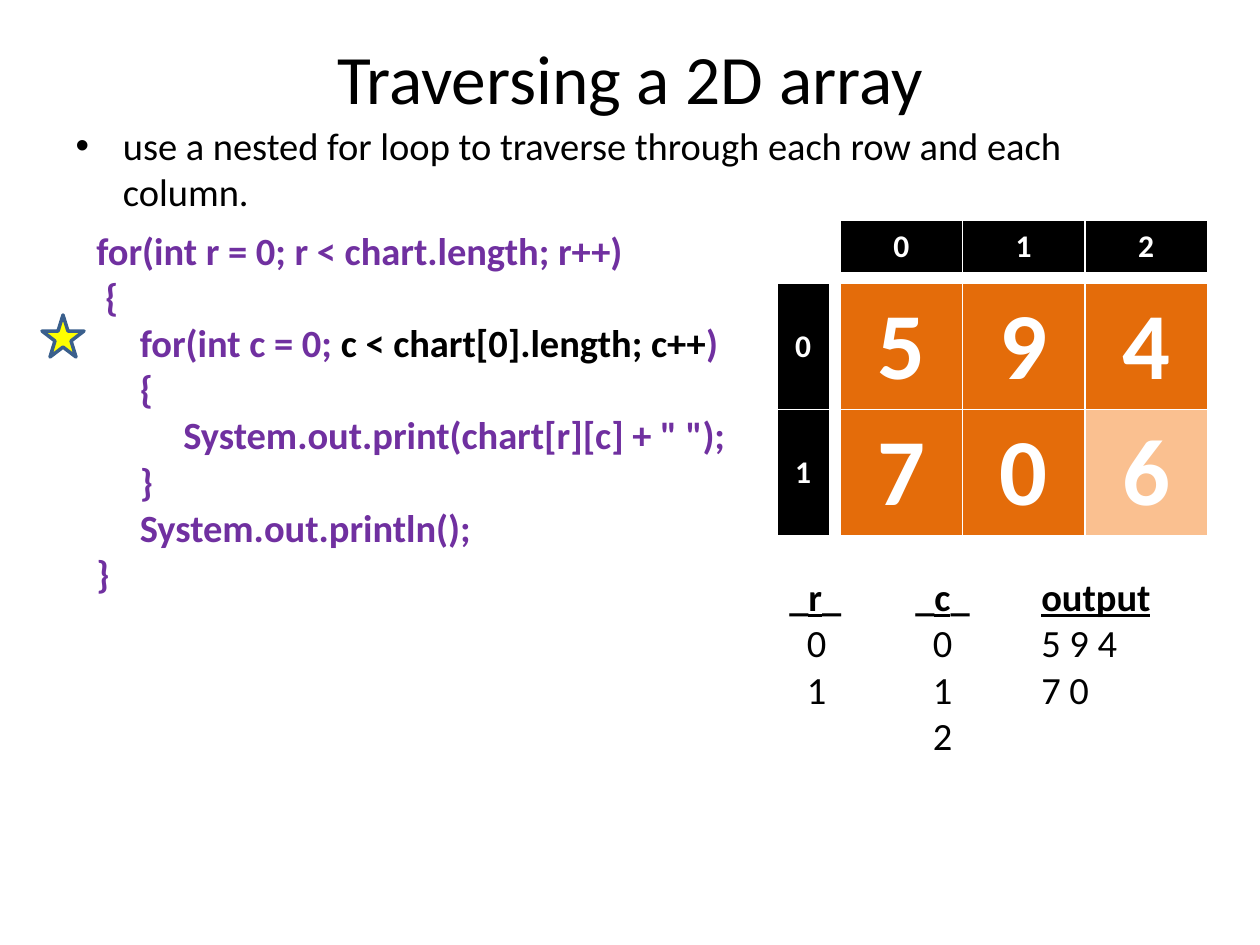
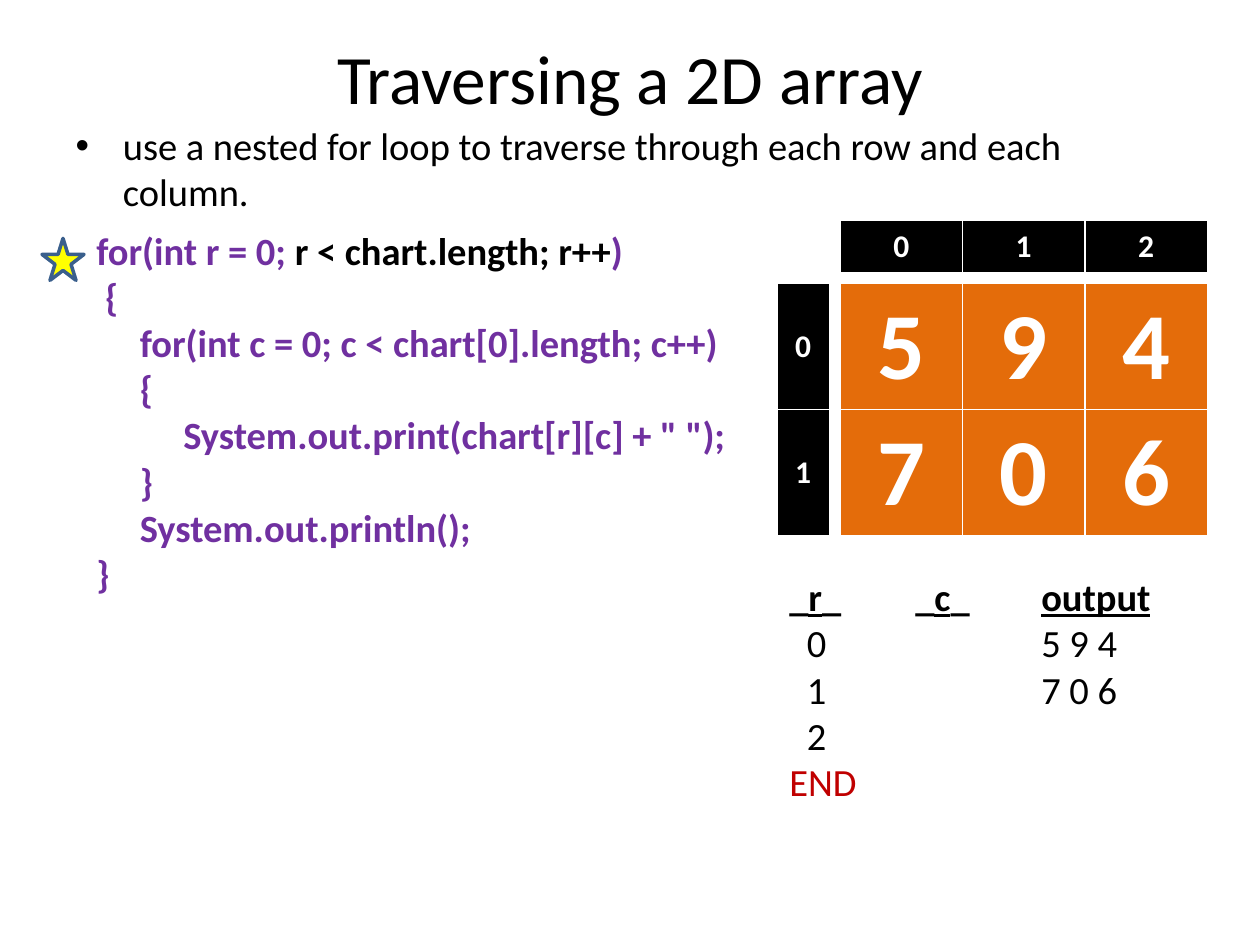
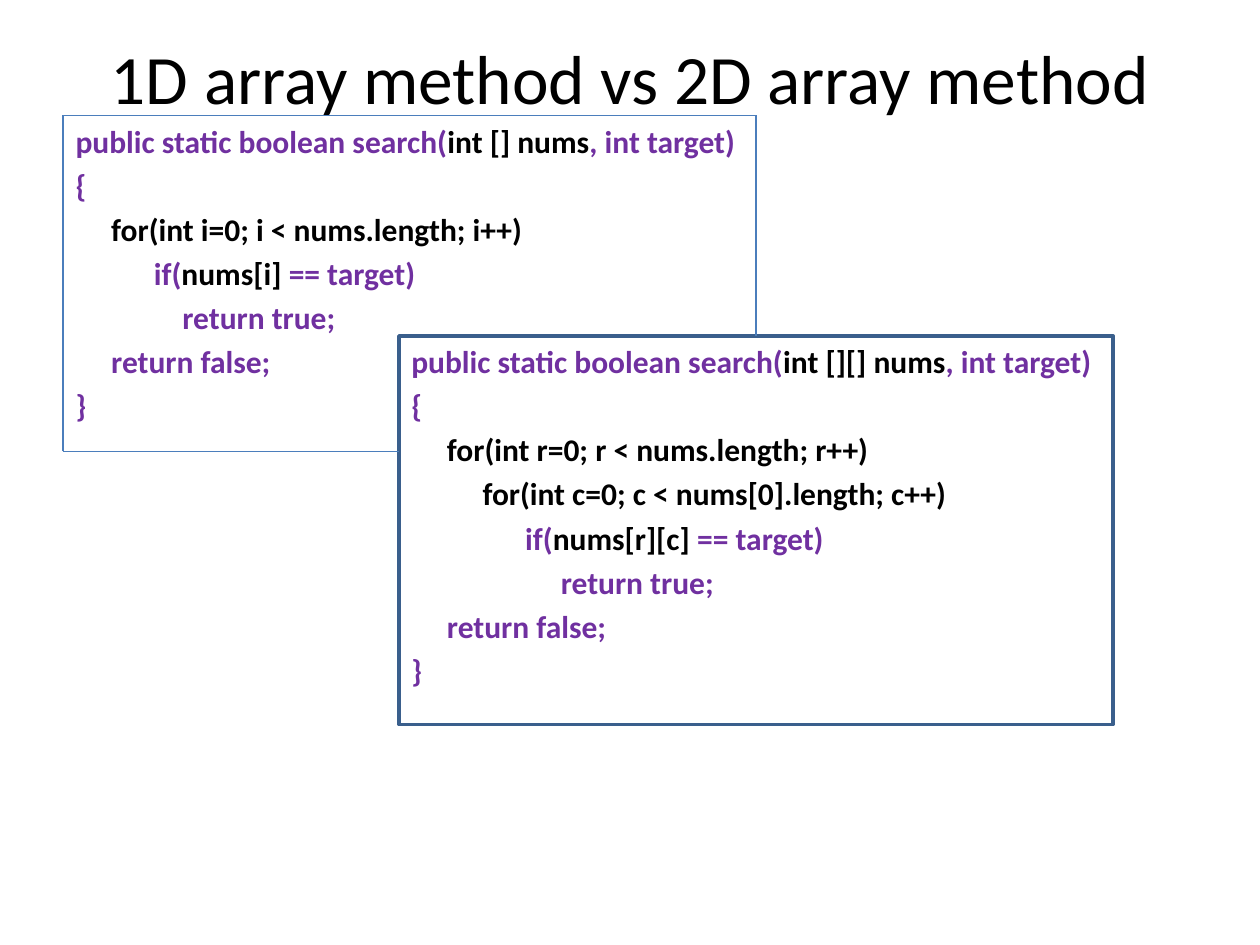
from lxml.etree import SubElement
from pptx import Presentation
from pptx.dml.color import RGBColor
from pptx.enum.shapes import MSO_CONNECTOR as Connector, MSO_SHAPE as Preset
from pptx.enum.text import MSO_ANCHOR as Anchor, MSO_AUTO_SIZE as AutoSize, PP_ALIGN as Align
from pptx.oxml.ns import qn
from pptx.util import Inches, Pt

BLACK = RGBColor(0x00, 0x00, 0x00)
WHITE = RGBColor(0xFF, 0xFF, 0xFF)
PURPLE = RGBColor(0x70, 0x30, 0xA0)
RED = RGBColor(0xC0, 0x00, 0x00)
YELLOW = RGBColor(0xFF, 0xFF, 0x00)
ORANGE = RGBColor(0xE4, 0x6C, 0x0A)
PEACH = RGBColor(0xFA, 0xC0, 0x90)
NAVY = RGBColor(0x3A, 0x5F, 0x8C)
BLUE = RGBColor(0x4B, 0x7E, 0xBC)

FONT = "Calibri"
COLUMNS, ROWS = 120, 90
SPACE_WIDTH = 0.226
HEADING_STOPS = (1, 2)
VALUE_STOPS = (0.14, 1.14, 2)


class Deck:
    def __init__(self):
        self.presentation = Presentation()
        self.presentation.slide_width = Inches(10)
        self.presentation.slide_height = Inches(7.5)
        self.column = self.presentation.slide_width / COLUMNS
        self.row = self.presentation.slide_height / ROWS

    def area(self, left, top, width, height):
        return (round(left * self.column), round(top * self.row),
                round(width * self.column), round(height * self.row))

    def place(self, holder, area):
        holder.left, holder.top, holder.width, holder.height = self.area(*area)
        holder.text_frame.auto_size = AutoSize.NONE
        return holder.text_frame

    def style(self, paragraph, size, color, bold=False):
        font = paragraph.font
        font.name, font.size, font.bold = FONT, Pt(size), bold
        font.color.rgb = color

    def new_slide(self, title):
        self.slide = self.presentation.slides.add_slide(self.presentation.slide_layouts[1])
        heading = self.place(self.slide.shapes.title, (6, 3.6, 108, 7.4))
        heading.text = title
        self.style(heading.paragraphs[0], 39.6, BLACK)

    def body(self, area):
        return self.place(self.slide.placeholders[1], area)

    def bullet(self, text, area):
        frame = self.body(area)
        frame.text = text
        self.style(frame.paragraphs[0], 22, BLACK)

    def text_box(self, area, auto_size=AutoSize.SHAPE_TO_FIT_TEXT):
        frame = self.slide.shapes.add_textbox(*self.area(*area)).text_frame
        frame.word_wrap = True
        frame.auto_size = auto_size
        return frame

    def paragraphs(self, frame, lines):
        for number, line in enumerate(lines):
            yield (frame.add_paragraph() if number else frame.paragraphs[0]), line

    def marked_runs(self, paragraph, marked):
        for number, part in enumerate(marked.split("|")):
            if part:
                run = paragraph.add_run()
                run.text = part
                if number % 2:
                    yield run

    def code(self, frame, lines, size, gap=0):
        for paragraph, line in self.paragraphs(frame, lines):
            statement = line.lstrip()
            depth = len(line) - len(statement)
            properties = paragraph._p.get_or_add_pPr()
            properties.set("marL", str(Pt(depth * SPACE_WIDTH * size)))
            properties.set("indent", "0")
            SubElement(properties, qn("a:buNone"))
            paragraph.space_before = Pt(gap)
            self.style(paragraph, size, PURPLE, bold=True)
            for run in self.marked_runs(paragraph, statement):
                run.font.color.rgb = BLACK

    def trace(self, values, area):
        lines = ["_|r|_\t_|c|_\t|output"] + values
        for paragraph, line in self.paragraphs(self.text_box(area), lines):
            is_heading = line == lines[0]
            stops = SubElement(paragraph._p.get_or_add_pPr(), qn("a:tabLst"))
            for position in HEADING_STOPS if is_heading else VALUE_STOPS:
                SubElement(stops, qn("a:tab"), pos=str(Inches(position)), algn="l")
            self.style(paragraph, 22, RED if line == "END" else BLACK, bold=is_heading)
            for run in self.marked_runs(paragraph, line):
                run.font.underline = True

    def table(self, values, area, size, fill, visited=None):
        grid = self.slide.shapes.add_table(len(values), len(values[0]), *self.area(*area)).table
        for r, row in enumerate(values):
            for c, value in enumerate(row):
                cell = grid.cell(r, c)
                cell.text = value
                cell.vertical_anchor = Anchor.MIDDLE
                cell.fill.solid()
                cell.fill.fore_color.rgb = PEACH if (r, c) == visited else fill
                paragraph = cell.text_frame.paragraphs[0]
                paragraph.alignment = Align.CENTER
                self.style(paragraph, size, WHITE, bold=True)

    def outline(self, preset, area, fill=None):
        shape = self.slide.shapes.add_shape(preset, *self.area(*area))
        shape.shadow.inherit = False
        if fill is None:
            shape.fill.background()
        else:
            shape.fill.solid()
            shape.fill.fore_color.rgb = fill
        shape.line.color.rgb = NAVY
        shape.line.width = Pt(2)

    def path_lines(self, points):
        for start, end in zip(points, points[1:]):
            line = self.slide.shapes.add_connector(Connector.STRAIGHT, *self.area(*start, *end))
            line.line.color.rgb = BLUE
            line.line.width = Pt(0.75)
            SubElement(line._element.spPr, qn("a:effectLst"))

    def traversal(self, outer, inner, star_top, values, trace_height, visited=None):
        self.new_slide("Traversing a 2D array")
        self.bullet("use a nested for loop to traverse through each row and each column.",
                    (6, 11, 108, 14))
        self.code(self.text_box((8, 21, 66, 40.4)), [
            outer,
            " {",
            "     " + inner,
            "     {",
            "          System.out.print(chart[r][c] + \" \");",
            "     }",
            "     System.out.println();",
            "}",
        ], 22)
        self.trace(values, (74, 54, 42, trace_height))
        self.outline(Preset.STAR_5_POINT, (4, star_top, 4, 4), YELLOW)
        self.table(["012"], (80, 21, 35, 5), 18, BLACK)
        self.table(["0", "1"], (74, 27, 5, 24), 18, BLACK)
        self.table(["594", "706"], (80, 27, 35, 24), 54, ORANGE, visited)


deck = Deck()

deck.traversal("for(int r = 0; r < chart.length; r++)",
               "for(int c = 0; |c < chart[0].length; c++|)",
               30, ["\t0\t0\t5 9 4", "\t1\t1\t7 0", "\t\t2"], 19, visited=(1, 2))

deck.traversal("for(int r = 0; |r < chart.length; r++|)",
               "for(int c = 0; c < chart[0].length; c++)",
               22.7, ["\t0\t\t5 9 4", "\t1\t\t7 0 6", "\t2", "END"], 23.4)

deck.new_slide("1D array method vs 2D array method")
deck.code(deck.body((6, 11, 66, 32)), [
    "public static boolean search(|int [] nums|, int target)",
    "{",
    "     |for(int i=0; i < nums.length; i++)",
    "           if(|nums[i]| == target)",
    "               return true;",
    "     return false;",
    "}",
], 18, gap=3.6)
deck.code(deck.text_box((38, 32, 79, 56), AutoSize.NONE), [
    "public static boolean search(|int [][] nums|, int target)",
    "{",
    "     |for(int r=0; r < nums.length; r++)",
    "          |for(int c=0; c < nums[0].length; c++)",
    "                if(|nums[r][c]| == target)",
    "                     return true;",
    "     return false;",
    "}",
], 18, gap=3.6)
deck.outline(Preset.RECTANGLE, (38, 32, 68, 37))
deck.path_lines([(38, 43), (6, 43), (6, 11), (72, 11), (72, 32)])

deck.presentation.save("out.pptx")
